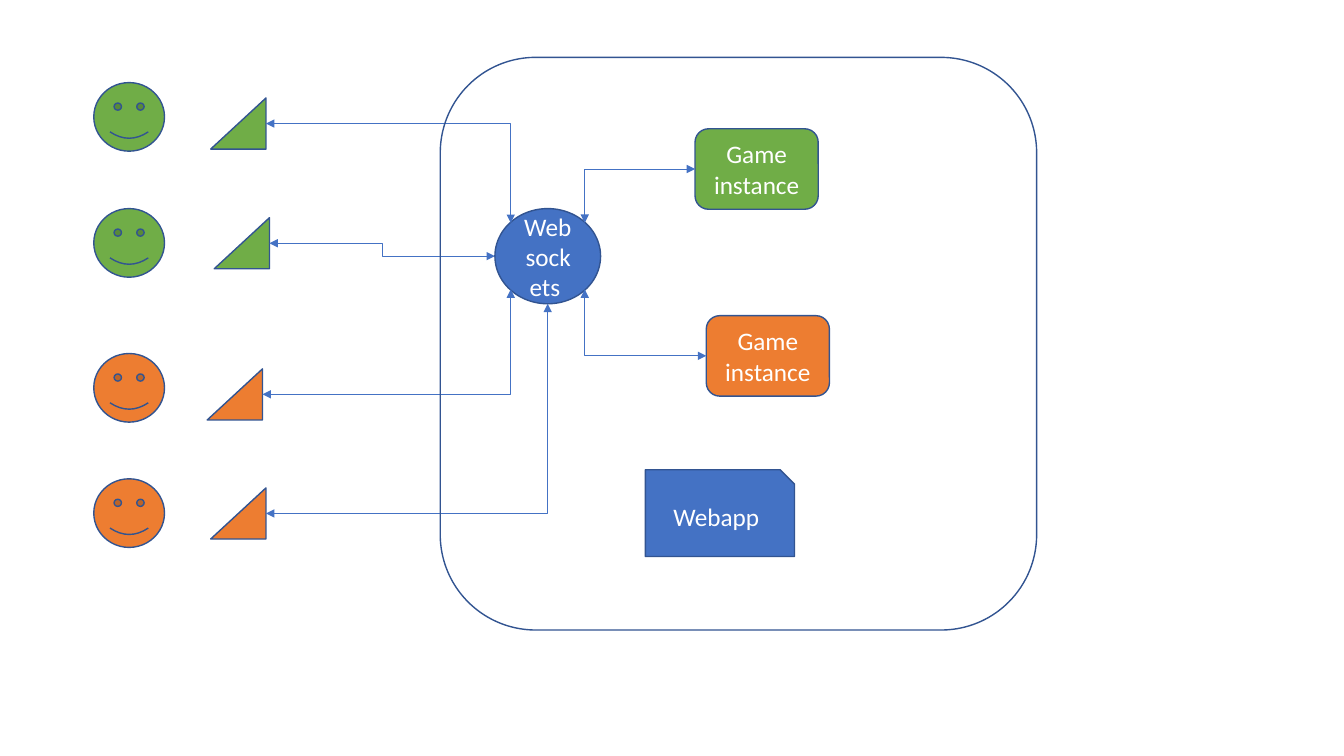
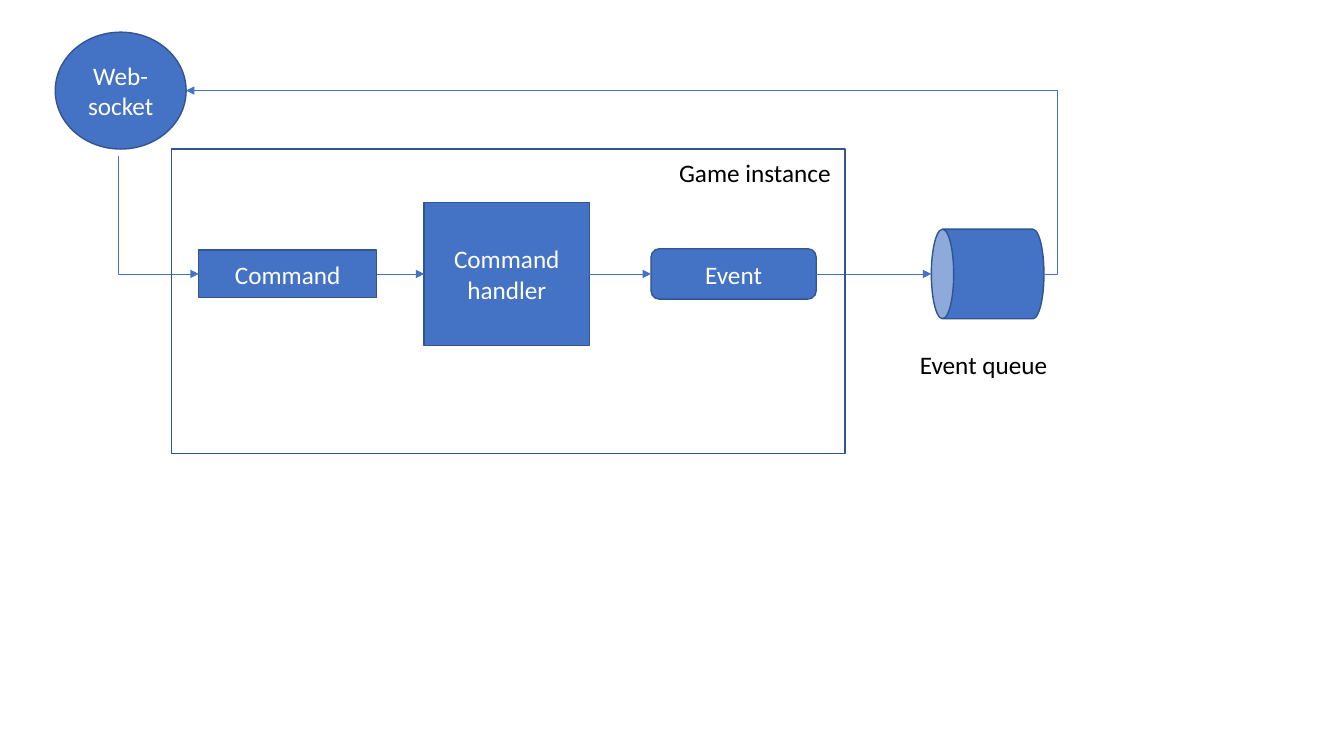
from lxml import etree
from pptx import Presentation
from pptx.dml.color import RGBColor
from pptx.enum import shapes, text
from pptx.oxml import ns
from pptx.util import Pt

BLUE = RGBColor(0x44, 0x72, 0xC4)
OUTLINE = RGBColor(0x32, 0x54, 0x91)
GREEN = RGBColor(0x70, 0xAD, 0x47)
ORANGE = RGBColor(0xED, 0x7D, 0x31)
WHITE = RGBColor(0xFF, 0xFF, 0xFF)
BLACK = RGBColor(0x00, 0x00, 0x00)
FONT = "Calibri"
Preset = shapes.MSO_SHAPE

# Connection sites: position within the drawn bounds
DIAGONAL = 0.35
SITES = {
    "left": (0, 0.5), "right": (1, 0.5), "bottom": (0.5, 1),
    "top left": (0.5 - DIAGONAL, 0.5 - DIAGONAL),
    "top right": (0.5 + DIAGONAL, 0.5 - DIAGONAL),
    "bottom left": (0.5 - DIAGONAL, 0.5 + DIAGONAL),
    "bottom right": (0.5 + DIAGONAL, 0.5 + DIAGONAL),
}
BOX_SITES = {"left": 1, "bottom": 2, "right": 3}
SITE_NUMBERS = {
    Preset.OVAL: {"top left": 1, "left": 2, "bottom left": 3, "bottom": 4,
                  "bottom right": 5, "right": 6, "top right": 7},
    Preset.RIGHT_TRIANGLE: {"right": 3},  # turned by 270 degrees
    Preset.CAN: {"left": 1, "right": 3},  # turned by 270 degrees
}


def write_text(shape, content, color=WHITE, size=18,
               align=text.PP_ALIGN.CENTER, anchor=text.MSO_ANCHOR.MIDDLE,
               wrap=True):
    frame = shape.text_frame
    frame.word_wrap = wrap
    frame.vertical_anchor = anchor
    frame.text = content
    for paragraph in frame.paragraphs:
        paragraph.alignment = align
        paragraph.font.name = FONT
        paragraph.font.size = Pt(size)
        paragraph.font.color.rgb = color


def add_shape(slide, preset, left, top, width, height,
              fill=BLUE, content=None, rotation=0):
    shape = slide.shapes.add_shape(
        preset, Pt(left), Pt(top), Pt(width), Pt(height))
    shape.rotation = rotation
    shape.shadow.inherit = False
    if fill is None:
        shape.fill.background()
    else:
        shape.fill.solid()
        shape.fill.fore_color.rgb = fill
    shape.line.color.rgb = OUTLINE
    shape.line.width = Pt(1)
    if content:
        write_text(shape, content)
    return shape


def add_label(slide, content, left, top, width, height, wrap=True):
    label = slide.shapes.add_textbox(Pt(left), Pt(top), Pt(width), Pt(height))
    write_text(label, content, color=BLACK, wrap=wrap,
               align=text.PP_ALIGN.LEFT, anchor=text.MSO_ANCHOR.TOP)


def site_point(shape, site):
    width, height = shape.width, shape.height
    center_x, center_y = shape.left + width / 2, shape.top + height / 2
    if shape.rotation % 180:
        width, height = height, width
    x, y = SITES[site]
    return (round(center_x + (x - 0.5) * width),
            round(center_y + (y - 0.5) * height))


def connect(slide, start, end, bend=None, heads=("tailEnd",), offset=None):
    """Join two ends, each a (shape, site) pair or a (None, point) pair.

    bend is None for a straight line, else the number of the bent preset;
    offset moves the middle leg of a bent line.
    """
    kind = shapes.MSO_CONNECTOR.ELBOW if bend else shapes.MSO_CONNECTOR.STRAIGHT
    points = [site_point(shape, site) if shape else site
              for shape, site in (start, end)]
    connector = slide.shapes.add_connector(kind, *points[0], *points[1])
    connector.line.color.rgb = BLUE
    connector.line.width = Pt(0.5)

    element = connector._element
    glue = element.nvCxnSpPr.cNvCxnSpPr
    for tag, (shape, site) in (("a:stCxn", start), ("a:endCxn", end)):
        if shape:
            numbers = SITE_NUMBERS.get(shape.auto_shape_type, BOX_SITES)
            etree.SubElement(glue, ns.qn(tag), id=str(shape.shape_id),
                             idx=str(numbers[site]))

    properties = element.spPr
    if bend:
        geometry = properties.find(ns.qn("a:prstGeom"))
        geometry.set("prst", f"bentConnector{bend}")
        if offset is not None:
            guides = geometry.find(ns.qn("a:avLst"))
            if guides is None:
                guides = etree.SubElement(geometry, ns.qn("a:avLst"))
            etree.SubElement(guides, ns.qn("a:gd"), name="adj1",
                             fmla=f"val {round(offset * 100000)}")
    line = properties.find(ns.qn("a:ln"))
    for head in heads:
        etree.SubElement(line, ns.qn(f"a:{head}"), type="triangle")
    etree.SubElement(properties, ns.qn("a:effectLst"))


def build_overview(slide):
    both = ("headEnd", "tailEnd")
    # Colour, player top, client left and top, bend, websocket site
    players = [
        (GREEN, 59, 152, 68.5, 2, "top left"),
        (GREEN, 149, 154.5, 154, 3, "left"),
        (ORANGE, 252.5, 149.5, 262, 2, "bottom left"),
        (ORANGE, 342, 152, 347, 2, "bottom"),
    ]
    games = [
        (GREEN, 496.5, 92, "top right"),
        (ORANGE, 504.5, 225.5, "bottom right"),
    ]
    add_shape(slide, Preset.SNIP_1_RECTANGLE, 461, 335.5, 106.5, 62,
              content="Webapp")
    websockets = add_shape(slide, Preset.OVAL, 353.5, 149, 75.5, 68,
                           content="Websockets ")
    for color, player_top, left, top, bend, site in players:
        add_shape(slide, Preset.SMILEY_FACE, 67, player_top, 50.5, 49,
                  fill=color)
        client = add_shape(slide, Preset.RIGHT_TRIANGLE, left, top, 36.5, 39.5,
                           fill=color, rotation=270)
        connect(slide, (client, "right"), (websockets, site), bend, both)
    for color, left, top, site in games:
        game = add_shape(slide, Preset.ROUNDED_RECTANGLE, left, top, 88, 57.5,
                         fill=color, content="Game instance")
        connect(slide, (game, "left"), (websockets, site), 2, both)
    add_shape(slide, Preset.ROUNDED_RECTANGLE, 314.5, 41, 426, 409, fill=None)


def build_event_flow(slide):
    row_center = 195.7

    def add_step(preset, left, width, height, **options):
        return add_shape(slide, preset, left, row_center - height / 2,
                         width, height, **options)

    command = add_step(Preset.RECTANGLE, 142, 127, 34, content="Command")
    handler = add_step(Preset.RECTANGLE, 303, 118, 102,
                       content="Command handler")
    event = add_step(Preset.ROUNDED_RECTANGLE, 465, 118, 36, content="Event")
    queue = add_step(Preset.CAN, 673.5, 64, 80.5, rotation=270)
    add_label(slide, "Event queue", 650, 246.2, 111, 51)
    websocket = add_shape(slide, Preset.OVAL, 39.5, 23, 93.5, 83.5,
                          content="Web-\nsocket")

    connect(slide, (command, "left"), (None, (Pt(84.8), Pt(111.8))), 2,
            heads=("headEnd",))
    steps = [command, handler, event, queue]
    for source, target in zip(steps, steps[1:]):
        connect(slide, (source, "right"), (target, "left"))
    connect(slide, (queue, "right"), (websocket, "right"), 3, offset=-0.016)

    add_shape(slide, Preset.RECTANGLE, 122.5, 106.5, 481, 217.5, fill=None)
    add_label(slide, "Game instance", 478, 108.5, 124, 29, wrap=False)


def main():
    presentation = Presentation()
    presentation.slide_width = Pt(960)
    presentation.slide_height = Pt(540)
    blank = presentation.slide_layouts[6]
    for build in (build_overview, build_event_flow):
        build(presentation.slides.add_slide(blank))
    presentation.save("out.pptx")


if __name__ == "__main__":
    main()
